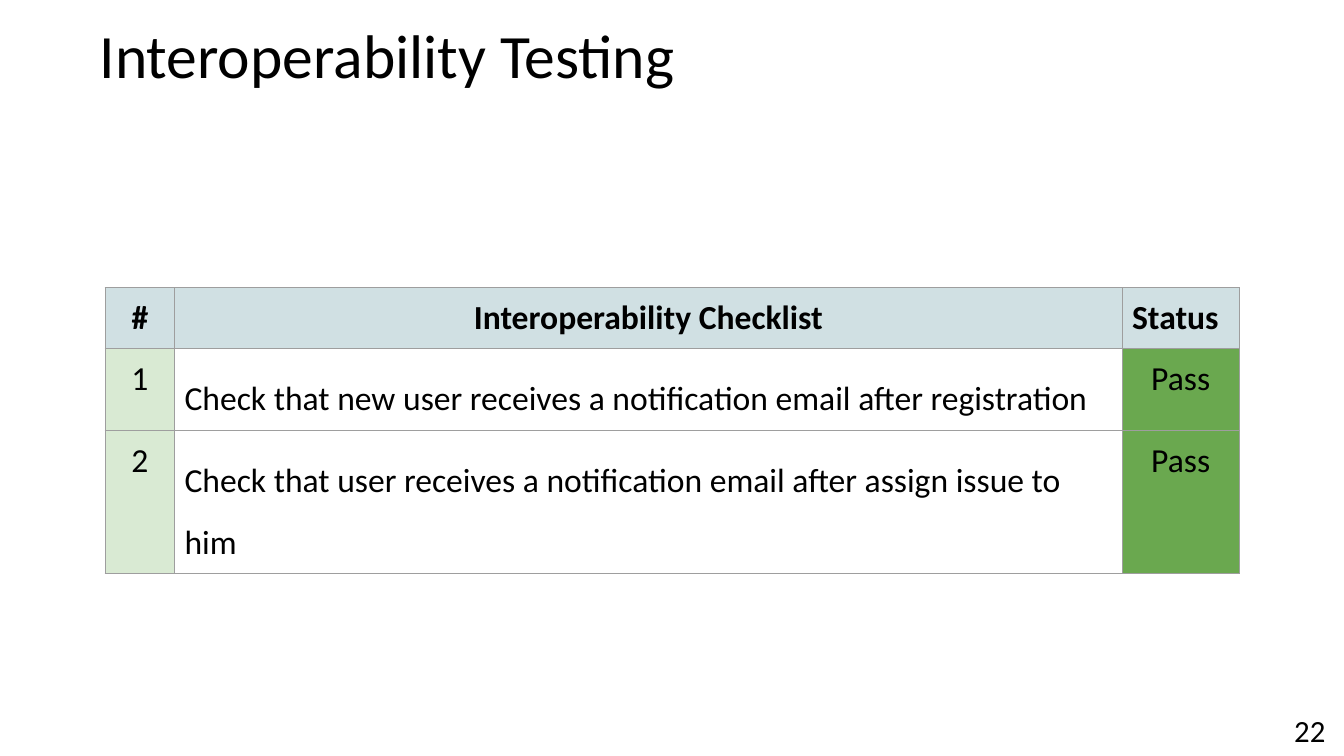
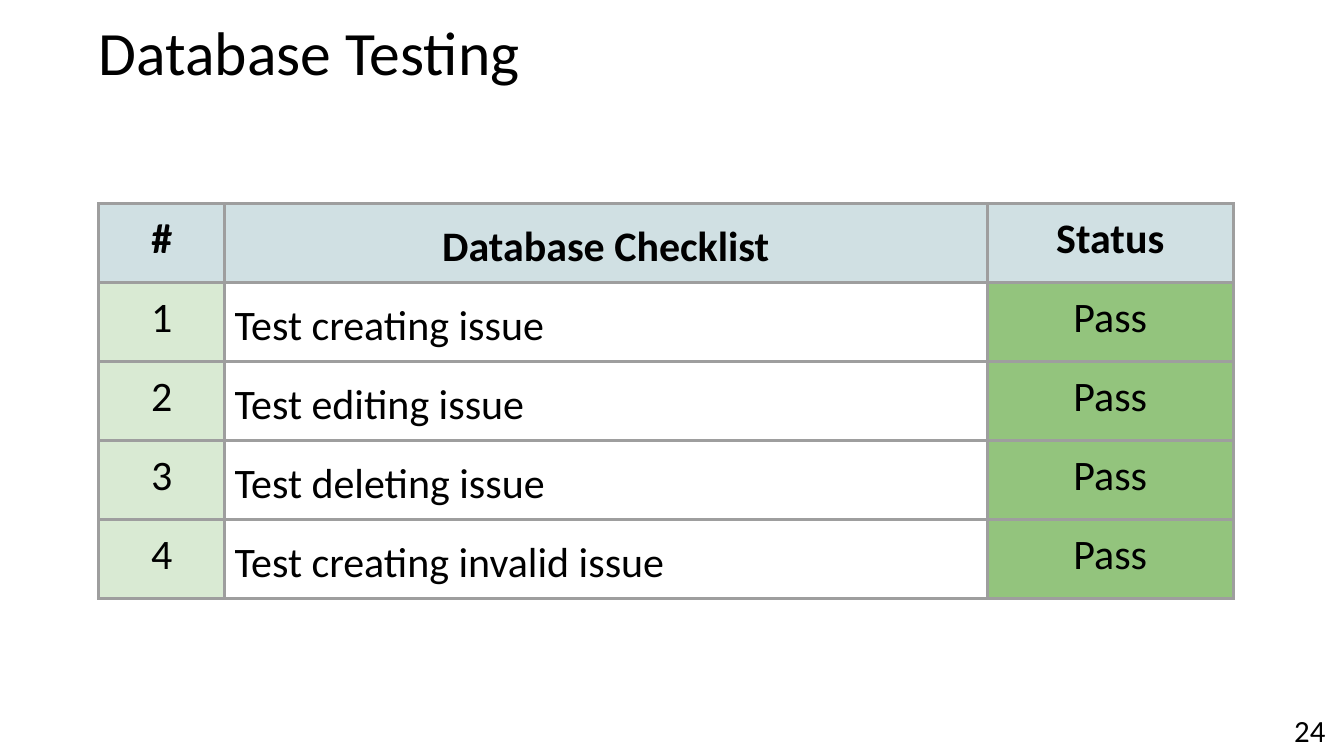
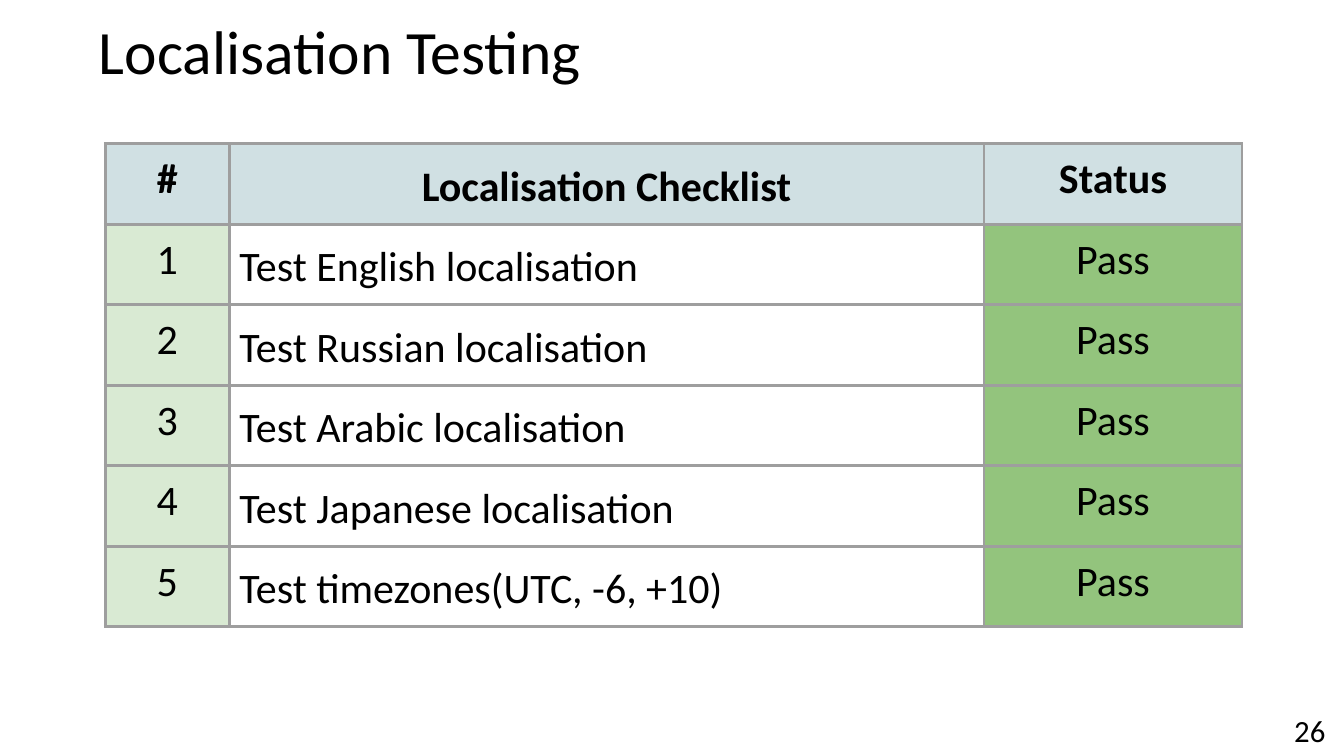
from dataclasses import dataclass
from lxml import etree
from pptx import Presentation
from pptx.dml.color import RGBColor
from pptx.enum.text import MSO_ANCHOR, PP_ALIGN
from pptx.oxml.ns import qn
from pptx.util import Cm, Pt


@dataclass(frozen=True)
class Theme:
    font: str = "Calibri"
    ink: str = "000000"
    head: str = "D0E0E3"
    index: str = "D9EAD3"
    edge: str = "9E9E9E"
    title: int = 44
    page: int = 22


T = Theme()
LEFT, MID, RIGHT = PP_ALIGN.LEFT, PP_ALIGN.CENTER, PP_ALIGN.RIGHT

# Content: lengths in cm, text sizes and line widths in points
SLIDES = [
    dict(title="Interoperability Testing", page=22,
         name=(2.26, 0.61), inset=0.25, lead=0.73,
         check="Interoperability Checklist",
         tests=["Check that new user receives a notification email after registration",
                "Check that user receives a notification email after assign issue to him"],
         at=(2.65, 7.25), cols=(1.75, 23.88, 2.95), rows=(1.53, 2.07, 3.61),
         size=24, line=0.75, good="6AA84F", status=LEFT, gaps=(1, 1.5)),
    dict(title="Database Testing", page=24,
         name=(2.49, 0.45), inset=0, lead=0.9,
         check="Database Checklist",
         tests=["Test creating issue", "Test editing issue",
                "Test deleting issue", "Test creating invalid issue"],
         at=(2.49, 5.13), cols=(3.17, 19.22, 6.2), rows=(1.99,) * 5,
         size=30, line=2.25, good="93C47D", status=MID, gaps=(1.15, 1.15)),
    dict(title="Localisation Testing", page=26,
         name=(2.49, 0.43), inset=0, lead=0.9,
         check="Localisation Checklist",
         tests=["Test English localisation", "Test Russian localisation",
                "Test Arabic localisation", "Test Japanese localisation",
                "Test timezones(UTC, -6, +10)"],
         at=(2.65, 3.62), cols=(3.13, 19.02, 6.5), rows=(2.03,) * 6,
         size=30, line=2.25, good="93C47D", status=MID, gaps=(1.15, 1.15)),
]


# Text helpers
def style(para, size, align=LEFT, bold=False, gap=1):
    para.alignment = align
    if gap != 1:
        para.line_spacing = gap
    font = para.font
    font.name, font.size = T.font, Pt(size)
    font.color.rgb = RGBColor.from_string(T.ink)
    if bold:
        font.bold = True


def label(slide, box, pads, anchor=MSO_ANCHOR.TOP):
    frame = slide.shapes.add_textbox(*map(Cm, box)).text_frame
    frame.word_wrap = True
    frame.vertical_anchor = anchor
    (frame.margin_left, frame.margin_top,
     frame.margin_right, frame.margin_bottom) = map(Cm, pads)
    return frame.paragraphs[0]


# Title and page number
def common(slide, item):
    para = label(slide, (*item["name"], 30.05, 1.9),
                 (item["inset"], 0.13, 0.25, 0.13), MSO_ANCHOR.MIDDLE)
    para.text = item["title"]
    style(para, T.title, gap=item["lead"])

    para = label(slide, (31.7, 17.6, 2.03, 1.45), (0.33,) * 4)
    para.text = str(item["page"])
    style(para, T.page, RIGHT)


# Checklist table
def border(cell, width):
    props = cell._tc.get_or_add_tcPr()
    for spot, side in enumerate("LRTB"):
        line = etree.Element(qn(f"a:ln{side}"), w=str(Pt(width)))
        fill = etree.SubElement(line, qn("a:solidFill"))
        etree.SubElement(fill, qn("a:srgbClr"), val=T.edge)
        props.insert(spot, line)


def grid(slide, item):
    cols, rows = item["cols"], item["rows"]
    box = (*item["at"], sum(cols), sum(rows))
    table = slide.shapes.add_table(len(rows), len(cols), *map(Cm, box)).table
    table.first_row = table.horz_banding = False
    for col, width in zip(table.columns, cols):
        col.width = Cm(width)
    for row, height in zip(table.rows, rows):
        row.height = Cm(height)

    data = [("#", item["check"], "Status")]
    data += [(str(n), test, "Pass") for n, test in enumerate(item["tests"], 1)]
    for r, texts in enumerate(data):
        top = r == 0
        fills = (T.head,) * 3 if top else (T.index, None, item["good"])
        aligns = (MID, MID, item["status"]) if top else (MID, LEFT, MID)
        gaps = (1, item["gaps"][0 if top else 1], 1)
        for c, (text, fill, align, gap) in enumerate(zip(texts, fills, aligns, gaps)):
            cell = table.cell(r, c)
            cell.text = text
            cell.margin_left = cell.margin_right = Cm(0.25)
            cell.margin_top = cell.margin_bottom = Cm(0.25)
            style(cell.text_frame.paragraphs[0], item["size"], align, top, gap)
            if fill:
                cell.fill.solid()
                cell.fill.fore_color.rgb = RGBColor.from_string(fill)
            else:
                cell.fill.background()
            border(cell, item["line"])


def main():
    deck = Presentation()
    deck.slide_width, deck.slide_height = Cm(33.87), Cm(19.05)
    for item in SLIDES:
        slide = deck.slides.add_slide(deck.slide_layouts[6])
        common(slide, item)
        grid(slide, item)
    deck.save("out.pptx")


if __name__ == "__main__":
    main()
